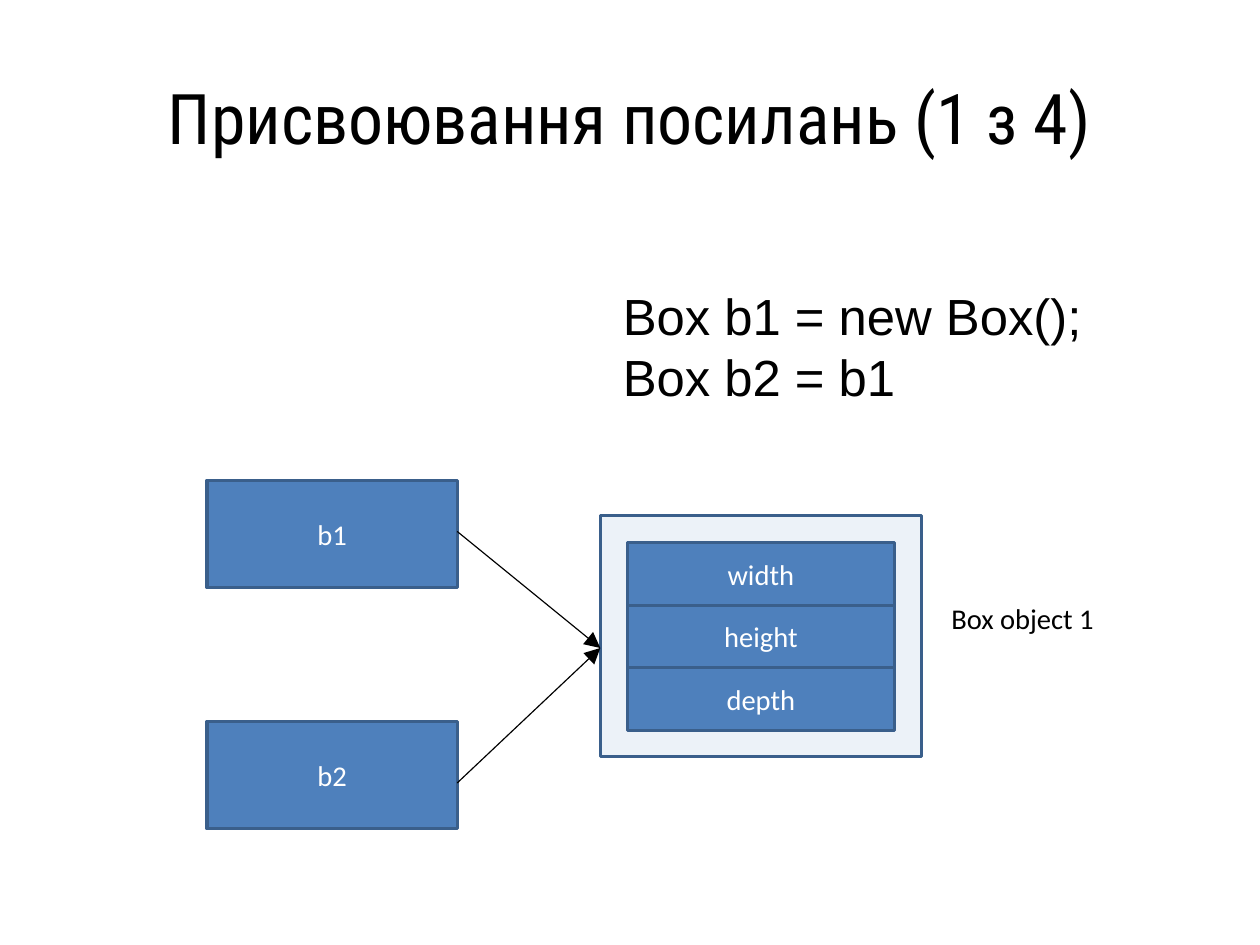
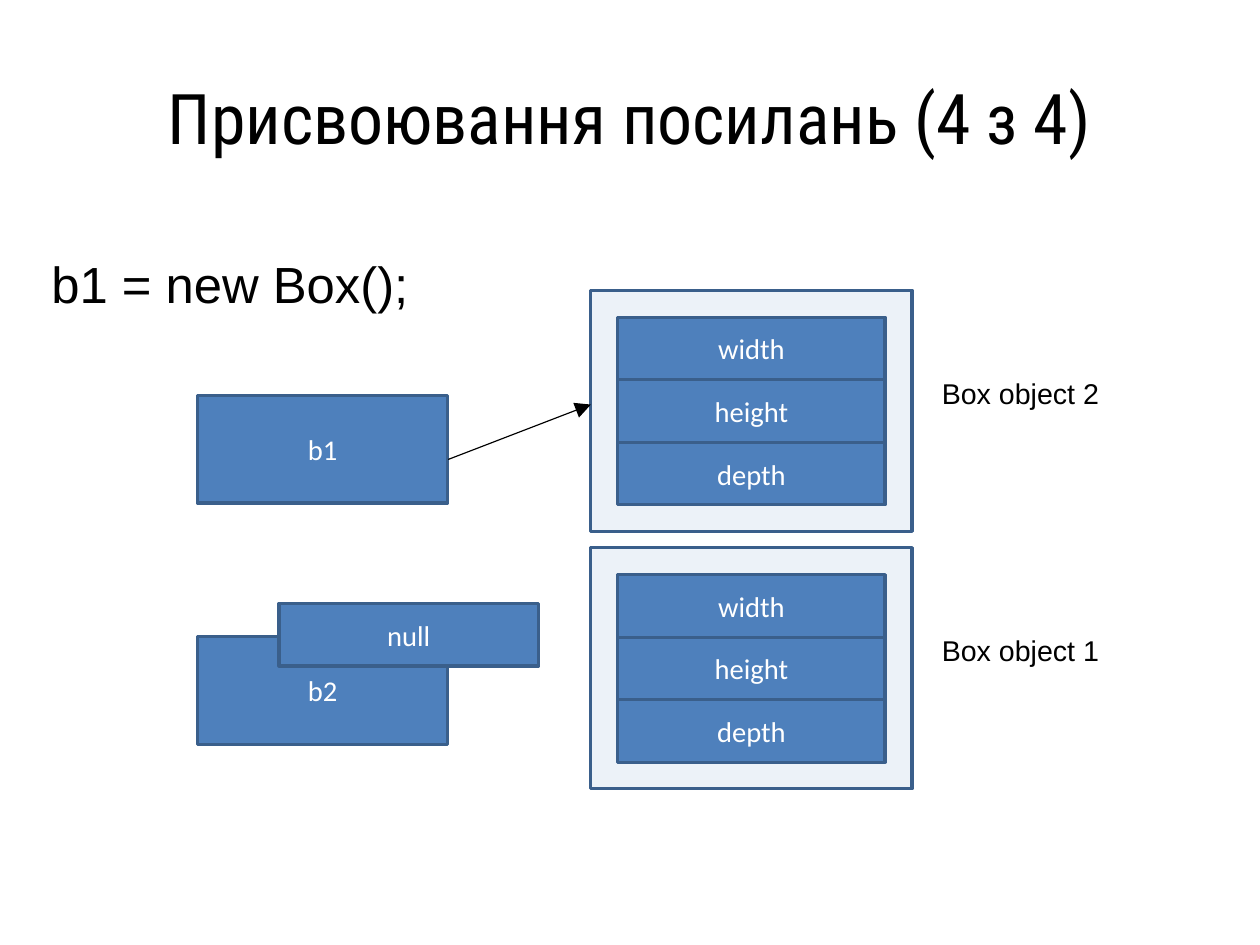
from dataclasses import dataclass

from lxml.etree import SubElement
from pptx import Presentation
from pptx.dml.color import RGBColor
from pptx.enum.shapes import MSO_CONNECTOR, MSO_SHAPE
from pptx.enum.text import MSO_ANCHOR, PP_ALIGN
from pptx.oxml.ns import qn
from pptx.util import Cm, Pt

COLORS = {"blue": "4E80BC", "outline": "3A5F8B", "black": "000000", "white": "FFFFFF"}

# Shared measures, in centimetres
VARIABLE_WIDTH, VARIABLE_HEIGHT = 5.56, 2.39
OBJECT_WIDTH, OBJECT_HEIGHT = 7.14, 5.36
OBJECT_PADDING = 0.6
FIELD_WIDTH, FIELD_HEIGHT = 5.94, 1.39
FIELDS = ("width", "height", "depth")
LABEL_OFFSET = (7.55, 1.78)
OBJECT_FILL_OPACITY = 10


@dataclass(frozen=True)
class Block:
    text: str
    left: float
    top: float
    width: float = VARIABLE_WIDTH
    height: float = VARIABLE_HEIGHT


@dataclass(frozen=True)
class BoxObject:
    label: str
    left: float
    top: float
    label_font: str


@dataclass(frozen=True)
class Arrow:
    start: tuple[float, float]
    end: tuple[float, float]


@dataclass(frozen=True)
class Diagram:
    title: str
    code: Block
    objects: tuple[BoxObject, ...]
    blocks: tuple[Block, ...]
    arrows: tuple[Arrow, ...]


DIAGRAMS = (
    Diagram(
        title="Присвоювання посилань (1 з 4)",
        code=Block("Box b1 = new Box();\nBox b2 = b1", 13.59, 6.2, 10.82, 2.9),
        objects=(BoxObject("Box object 1", 13.34, 11.46, "Calibri"),),
        blocks=(Block("b1", 4.6, 10.67), Block("b2", 4.6, 16.03)),
        arrows=(
            Arrow((10.16, 11.81), (13.34, 14.4)),
            Arrow((10.16, 17.4), (13.34, 14.4)),
        ),
    ),
    Diagram(
        title="Присвоювання посилань (4 з 4)",
        code=Block("b1 = new Box();", 0.89, 5.49, 8.61, 1.57),
        objects=(
            BoxObject("Box object 1", 13.13, 12.17, "Arial"),
            BoxObject("Box object 2", 13.13, 6.45, "Arial"),
        ),
        blocks=(
            Block("b1", 4.39, 8.79),
            Block("b2", 4.39, 14.15),
            Block("null", 6.2, 13.41, 5.77, FIELD_HEIGHT),
        ),
        arrows=(Arrow((9.96, 10.21), (13.13, 8.99)),),
    ),
)


def color(name: str) -> RGBColor:
    return RGBColor.from_string(COLORS[name])


def write(frame, text: str, font: str, size: int, ink: str, align=PP_ALIGN.LEFT) -> None:
    frame.word_wrap = True
    frame.text = text
    for para in frame.paragraphs:
        para.alignment = align
        para.font.name = font
        para.font.size = Pt(size)
        para.font.color.rgb = color(ink)


def add_title(page, text: str) -> None:
    title = page.shapes.title
    title.left, title.top, title.width, title.height = Cm(1.4), Cm(0.84), Cm(25.2), Cm(3.5)
    frame = title.text_frame
    frame.margin_left = frame.margin_right = frame.margin_top = frame.margin_bottom = 0
    frame.vertical_anchor = MSO_ANCHOR.MIDDLE
    write(frame, text, "Roboto Condensed", 44, "black", PP_ALIGN.CENTER)


def add_text(page, block: Block, font: str, size: int) -> None:
    box = page.shapes.add_textbox(
        Cm(block.left), Cm(block.top), Cm(block.width), Cm(block.height))
    write(box.text_frame, block.text, font, size, "black")


def add_block(page, block: Block):
    shape = page.shapes.add_shape(
        MSO_SHAPE.RECTANGLE,
        Cm(block.left), Cm(block.top), Cm(block.width), Cm(block.height))
    shape.shadow.inherit = False
    shape.fill.solid()
    shape.fill.fore_color.rgb = color("blue")
    shape.line.color.rgb = color("outline")
    shape.line.width = Pt(2)
    if block.text:
        shape.text_frame.vertical_anchor = MSO_ANCHOR.MIDDLE
        write(shape.text_frame, block.text, "Calibri", 18, "white", PP_ALIGN.CENTER)
    return shape


def add_object(page, item: BoxObject) -> None:
    # Pale frame
    frame = add_block(page, Block("", item.left, item.top, OBJECT_WIDTH, OBJECT_HEIGHT))
    fill_color = frame.fill._xPr.find(qn("a:solidFill"))[0]
    SubElement(fill_color, qn("a:alpha"), val=str(OBJECT_FILL_OPACITY * 1000))
    # Stacked fields
    for row, field in enumerate(FIELDS):
        add_block(page, Block(
            field, item.left + OBJECT_PADDING,
            item.top + OBJECT_PADDING + row * FIELD_HEIGHT, FIELD_WIDTH, FIELD_HEIGHT))
    # Label on the right
    across, down = LABEL_OFFSET
    label = Block(item.label, item.left + across, item.top + down, 4.52, 1.02)
    add_text(page, label, item.label_font, 18)


def add_arrow(page, arrow: Arrow) -> None:
    line = page.shapes.add_connector(
        MSO_CONNECTOR.STRAIGHT, *(Cm(value) for value in arrow.start + arrow.end))
    line.line.color.rgb = color("black")
    line.line.width = Pt(0.75)
    properties = line._element.spPr
    SubElement(properties.find(qn("a:ln")), qn("a:tailEnd"), type="triangle", w="lg", len="lg")
    SubElement(properties, qn("a:effectLst"))


def add_diagram(deck, diagram: Diagram) -> None:
    page = deck.slides.add_slide(deck.slide_layouts[5])
    add_title(page, diagram.title)
    for item in diagram.objects:
        add_object(page, item)
    for block in diagram.blocks:
        add_block(page, block)
    add_text(page, diagram.code, "Arial", 32)
    for arrow in diagram.arrows:
        add_arrow(page, arrow)


def main() -> None:
    deck = Presentation()
    deck.slide_width, deck.slide_height = Cm(28), Cm(21)
    for diagram in DIAGRAMS:
        add_diagram(deck, diagram)
    deck.save("out.pptx")


if __name__ == "__main__":
    main()
